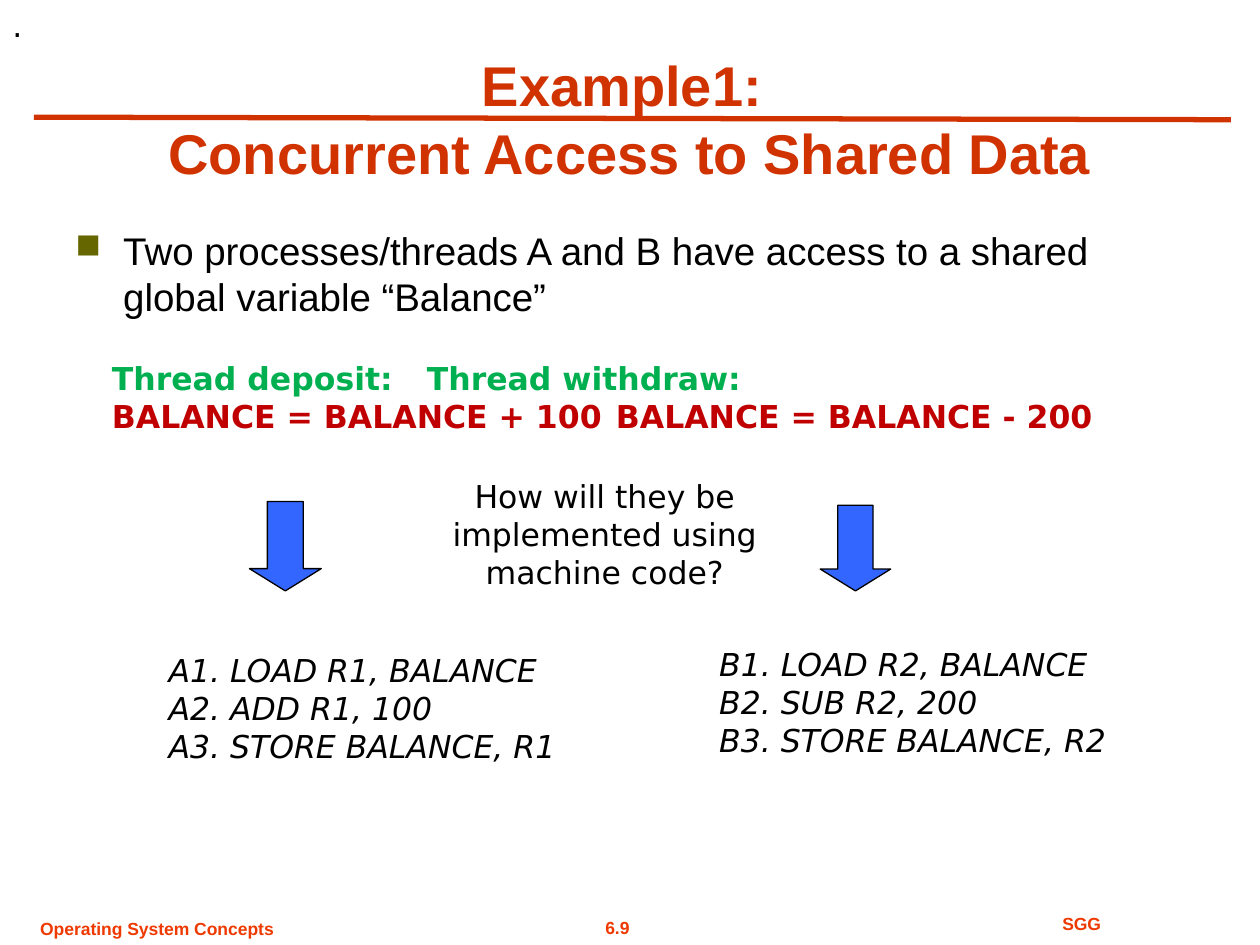
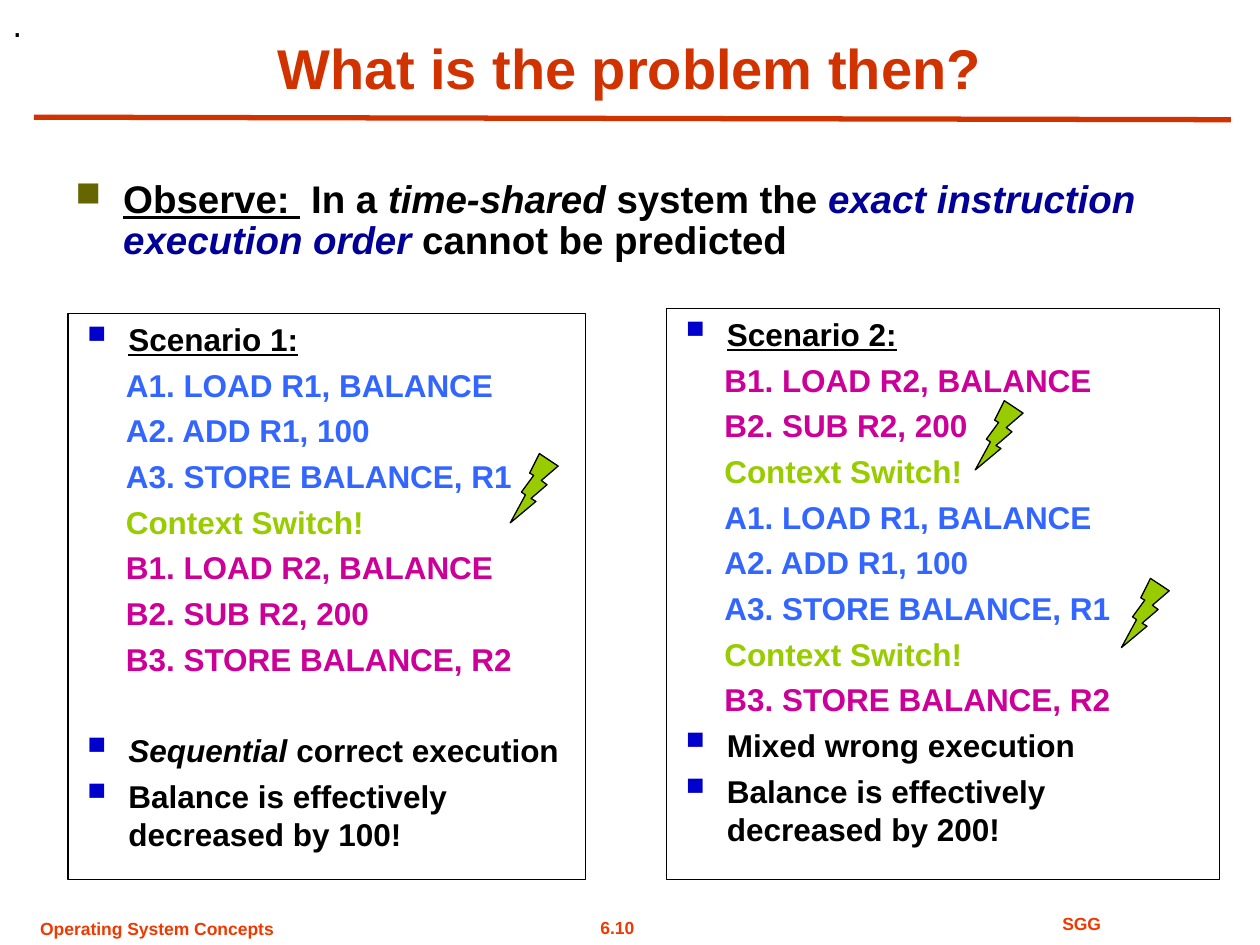
"""Builds two lecture slides on concurrent access to shared data."""
from lxml import etree
from pptx import Presentation, util as u
from pptx.dml.color import RGBColor
from pptx.enum import shapes, text
from pptx.oxml.ns import qn

WIDTH, HEIGHT = 10, 7.5
SANS, MONO = "Arial", "DejaVu Sans"
COLOURS = {
    "title": "D03200", "footer": "EE3900", "black": "000000", "olive": "666600",
    "navy": "000099", "bullet": "0000CC", "deposit": "3366FF", "withdraw": "CC0099",
    "switch": "99CC00", "green": "00B050", "red": "C00000",
}
CENTRE = {"align": text.PP_ALIGN.CENTER}
HANG = 0.38
POINT = {"left": HANG, "hang": HANG, "bullet": ("■", "olive", 90), "before": 9.6}
ITEM = {"left": HANG, "hang": HANG, "bullet": ("▪", "bullet", 140), "before": 4.5}
CODE = {"left": 0.36, "before": 4.5}
AFTER_GAP = {**ITEM, "before": 30.6}

FOOTERS = [
    ("{page}", (4.41, 7.23, 0.98, 0.27), CENTRE, False),
    ("SGG", (7.1, 7.2, 2.97, 0.27), CENTRE, True),
    ("Operating System Concepts", (0.22, 7.24, 2.05, 0.27), {}, False),
]
RULE = (0.27, 0.93, 9.77, 0.95)

ACCESS = {
    "page": "6.9",
    "title": ["Example1: ", "Concurrent Access to Shared Data"],
    "title_height": 1.3,
    "point_box": (0.5, 1.75, 8.94, 1.21),
    "point": [("Two processes/threads A and B have access to a shared "
               "global variable “Balance”", "black", "")],
}
THREADS = [
    ("Thread deposit:", "Thread withdraw:", "green", 4.66),
    ("BALANCE = BALANCE + 100", "BALANCE = BALANCE - 200", "red", 4.58),
]
QUESTION = "How will they be implemented using machine code?"
PROGRAMS = {
    "A": ["LOAD R1, BALANCE", "ADD R1, 100", "STORE BALANCE, R1"],
    "B": ["LOAD R2, BALANCE", "SUB R2, 200", "STORE BALANCE, R2"],
}
MACHINE = {
    "A": ((0.74, 5.12, 4.33, 1), (1.98, 3.98, 0.57, 0.71)),
    "B": ((5.11, 5.07, 4.64, 1), (6.51, 4.01, 0.56, 0.68)),
}

PROBLEM = {
    "page": "6.10",
    "title": ["What is the problem then?"],
    "title_height": 0.63,
    "point_box": (0.5, 1.38, 8.9, 0.98),
    "point_spacing": 0.9,
    "point": [
        ("Observe: ", "black", "bu"), (" In a ", "black", "b"),
        ("time-shared", "black", "bi"), (" system the ", "black", "b"),
        ("exact instruction execution order", "navy", "bi"),
        (" cannot be predicted", "black", "b"),
    ],
}
SCENARIOS = [
    {"heading": "Scenario 1:", "box": (0.54, 2.49, 4.11, 4.49),
     "steps": "A1 A2 A3 switch B1 B2 B3",
     "verdict": [("Sequential", "black", "bi"), (" correct execution", "black", "b")],
     "verdict_style": AFTER_GAP,
     "effect": "Balance is effectively decreased by 100!"},
    {"heading": "Scenario 2:", "box": (5.29, 2.45, 4.39, 4.53),
     "steps": "B1 B2 switch A1 A2 A3 switch B3",
     "verdict": [("Mixed wrong execution", "black", "b")],
     "verdict_style": ITEM,
     "effect": "Balance is effectively decreased by 200!"},
]
BOLTS = [(4.05, 3.6), (7.74, 3.18), (8.9, 4.59)]
BOLT_SIZE = (0.38, 0.55)


def colour(name):
    return RGBColor.from_string(COLOURS[name])


def inches(lengths):
    return [u.Inches(length) for length in lengths]


def add_xml(parent, tag, **attributes):
    return etree.SubElement(parent, qn(tag), attributes)


def format_paragraph(paragraph, align=None, left=0, hang=0, before=0,
                     spacing=None, bullet=None, tab=None):
    paragraph.alignment = align
    paragraph.space_before = u.Pt(before)
    if spacing:
        paragraph.line_spacing = spacing
    props = paragraph._p.get_or_add_pPr()
    props.set("marL", str(u.Inches(left)))
    props.set("indent", str(-u.Inches(hang)))
    if bullet:
        mark, tint, percent = bullet
        add_xml(add_xml(props, "a:buClr"), "a:srgbClr", val=COLOURS[tint])
        add_xml(props, "a:buSzPct", val=str(percent * 1000))
        add_xml(props, "a:buChar", char=mark)
    if tab:
        add_xml(add_xml(props, "a:tabLst"), "a:tab", pos=str(u.Inches(tab)), algn="l")


def write(frame, paragraphs, size=18, font=SANS):
    for index, (runs, style) in enumerate(paragraphs):
        paragraph = frame.add_paragraph() if index else frame.paragraphs[0]
        format_paragraph(paragraph, **style)
        for words, tint, flags in runs:
            if words == "\n":
                paragraph.add_line_break()
                continue
            run = paragraph.add_run()
            run.text = words
            run.font.size, run.font.name = u.Pt(size), font
            run.font.color.rgb = colour(tint)
            run.font.bold, run.font.italic = "b" in flags, "i" in flags
            run.font.underline = "u" in flags


def add_text(parent, box, paragraphs, size=18, font=SANS, wrap=True, grow=True,
             anchor=text.MSO_ANCHOR.TOP):
    frame = parent.add_textbox(*inches(box)).text_frame
    frame.word_wrap, frame.vertical_anchor = wrap, anchor
    frame.auto_size = (text.MSO_AUTO_SIZE.SHAPE_TO_FIT_TEXT if grow
                       else text.MSO_AUTO_SIZE.NONE)
    write(frame, paragraphs, size, font)


def add_outlined(parent, kind, box, fill=None):
    figure = parent.add_shape(kind, *inches(box))
    figure.shadow.inherit = False
    if fill:
        figure.fill.solid()
        figure.fill.fore_color.rgb = colour(fill)
    else:
        figure.fill.background()
    figure.line.color.rgb = colour("black")
    figure.line.width = u.Pt(0.75)
    return figure


def add_frame(deck, content):
    parts = deck.slides.add_slide(deck.slide_layouts[6]).shapes
    for words, box, style, wrap in FOOTERS:
        words = words.format(page=content["page"])
        add_text(parts, box, [([(words, "footer", "b")], style)], 10, wrap=wrap)
    rule = parts.add_connector(shapes.MSO_CONNECTOR.STRAIGHT, *inches(RULE))
    rule.line.color.rgb, rule.line.width = colour("title"), u.Pt(3)
    add_xml(rule._element.spPr, "a:effectLst")
    title = []
    for line in content["title"]:
        if title:
            title.append(("\n", "title", "b"))
        title.append((line, "title", "b"))
    add_text(parts, (0.5, 0.22, WIDTH - 1, content["title_height"]), [(title, CENTRE)],
             32, grow=False, anchor=text.MSO_ANCHOR.BOTTOM)
    style = {**POINT, "spacing": content.get("point_spacing")}
    add_text(parts, content["point_box"], [(content["point"], style)], 22, grow=False)
    add_text(parts, (0, 0, 0.51, 0.4), [([(".", "black", "")], {})], font=MONO)
    return parts


def build_access(deck):
    parts = add_frame(deck, ACCESS)
    threads = [([(f"{deposit}\t{withdraw}", tint, "b")], {"tab": tab})
               for deposit, withdraw, tint, tab in THREADS]
    add_text(parts, (0.79, 2.8, 8.71, 0.7), threads, font=MONO)
    for thread, (code_box, arrow_box) in MACHINE.items():
        group = parts.add_group_shape().shapes
        code = [([(f"{thread}{number}. {step}", "black", "i")], {"left": 0.5})
                for number, step in enumerate(PROGRAMS[thread], 1)]
        add_text(group, code_box, code, font=MONO)
        arrow = add_outlined(group, shapes.MSO_SHAPE.DOWN_ARROW, arrow_box, "deposit")
        arrow.adjustments[1] = 0.31
    add_text(parts, (3.46, 3.74, 2.68, 1), [([(QUESTION, "black", "")], CENTRE)], font=MONO)


def step_run(step):
    if step == "switch":
        return "Context Switch!", "switch", "b"
    thread, number = step
    tint = "deposit" if thread == "A" else "withdraw"
    return f"{step}. {PROGRAMS[thread][int(number) - 1]}", tint, "b"


def build_problem(deck):
    parts = add_frame(deck, PROBLEM)
    for scenario in SCENARIOS:
        panel = add_outlined(parts, shapes.MSO_SHAPE.RECTANGLE, scenario["box"])
        panel.text_frame.word_wrap = True
        panel.text_frame.vertical_anchor = text.MSO_ANCHOR.TOP
        left = {"align": text.PP_ALIGN.LEFT}
        lines = [([(scenario["heading"], "black", "bu")], ITEM)]
        lines += [([step_run(step)], CODE) for step in scenario["steps"].split()]
        lines += [(scenario["verdict"], scenario["verdict_style"]),
                  ([(scenario["effect"], "black", "b")], ITEM)]
        write(panel.text_frame, [(runs, {**style, **left}) for runs, style in lines])
    for corner in BOLTS:
        bolt = add_outlined(parts, shapes.MSO_SHAPE.LIGHTNING_BOLT, corner + BOLT_SIZE, "switch")
        bolt._element.spPr.xfrm.set("flipH", "1")


def main():
    deck = Presentation()
    deck.slide_width, deck.slide_height = inches((WIDTH, HEIGHT))
    build_access(deck)
    build_problem(deck)
    deck.save("out.pptx")


if __name__ == "__main__":
    main()
